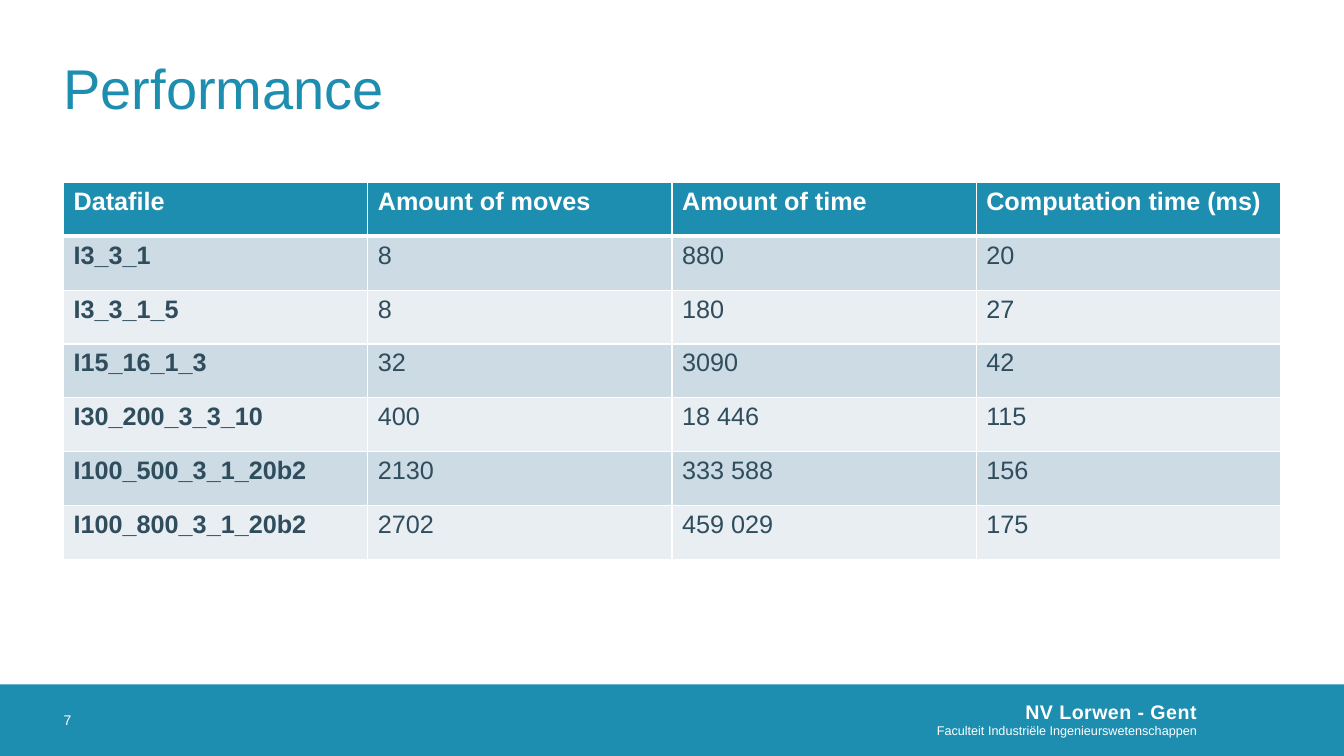
from dataclasses import dataclass

from lxml import etree
from pptx import Presentation
from pptx import util as u
from pptx.dml.color import RGBColor
from pptx.enum import shapes, text
from pptx.oxml.ns import qn

SLIDE_W, SLIDE_H = u.Inches(13.33), u.Inches(7.5)
FONT = "Arial"
COLORS = {
    "teal": "1D8DB0",
    "white": "FFFFFF",
    "ink": "2F4D5D",
    "band_dark": "CDDBE4",
    "band_light": "E8EEF2",
}
RESULTS = [
    ("Datafile", "Amount of moves", "Amount of time", "Computation time (ms)"),
    ("I3_3_1", "8", "880", "20"),
    ("I3_3_1_5", "8", "180", "27"),
    ("I15_16_1_3", "32", "3090", "42"),
    ("I30_200_3_3_10", "400", "18 446", "115"),
    ("I100_500_3_1_20b2", "2130", "333 588", "156"),
    ("I100_800_3_1_20b2", "2702", "459 029", "175"),
]


@dataclass(frozen=True)
class Area:
    """A rectangle in percent of the slide's width and height."""
    left: float
    top: float
    width: float
    height: float

    def emu(self) -> tuple[int, int, int, int]:
        return (round(SLIDE_W * self.left / 100), round(SLIDE_H * self.top / 100),
                round(SLIDE_W * self.width / 100), round(SLIDE_H * self.height / 100))


@dataclass(frozen=True)
class Line:
    words: str
    size: float
    color: str = "white"
    bold: bool = False
    align: text.PP_ALIGN = text.PP_ALIGN.LEFT
    spacing: float = 0


MARGIN, CONTENT_W = 4.73, 90.55
BAR_TOP, BAR_H = 90.53, 9.47
TITLE = Area(MARGIN, 3.07, CONTENT_W, 16.8)
TABLE = Area(MARGIN, 24.13, CONTENT_W, 49.87)
BAR = Area(0, BAR_TOP, 100, BAR_H)
PAGE_NUMBER = Area(MARGIN, BAR_TOP, 5.33, BAR_H)
FACULTY = Area(42.84, 90.27, 47.71, 9.73)


def rgb(color: str) -> RGBColor:
    return RGBColor.from_string(COLORS[color])


def write(frame, lines: list[Line], right_inset: float = 0) -> None:
    frame.word_wrap = True
    frame.auto_size = text.MSO_AUTO_SIZE.NONE
    frame.vertical_anchor = text.MSO_ANCHOR.MIDDLE
    frame.margin_left = frame.margin_top = frame.margin_bottom = 0
    frame.margin_right = u.Inches(right_inset)
    for index, line in enumerate(lines):
        paragraph = frame.add_paragraph() if index else frame.paragraphs[0]
        paragraph.alignment = line.align
        run = paragraph.add_run()
        run.text = line.words
        style(paragraph.font, line.size, line.color, line.bold)
        if line.spacing:
            run._r.get_or_add_rPr().set("spc", str(round(line.spacing * 100)))


def style(font, size: float, color: str, bold: bool) -> None:
    font.name, font.size, font.bold = FONT, u.Pt(size), bold
    font.color.rgb = rgb(color)


def add_text(slide, area: Area, lines: list[Line], right_inset: float = 0) -> None:
    write(slide.shapes.add_textbox(*area.emu()).text_frame, lines, right_inset)


def add_bar(slide) -> None:
    bar = slide.shapes.add_shape(shapes.MSO_SHAPE.RECTANGLE, *BAR.emu())
    bar.shadow.inherit = False
    bar.fill.solid()
    bar.fill.fore_color.rgb = rgb("teal")
    bar.line.fill.background()


def set_borders(cell, top: float, bottom: float) -> None:
    """Draw white cell borders; the side borders are one point wide."""
    properties = cell._tc.get_or_add_tcPr()
    for side, points in {"L": 1, "R": 1, "T": top, "B": bottom}.items():
        border = etree.SubElement(properties, qn(f"a:ln{side}"), w=str(u.Pt(points)))
        fill = etree.SubElement(border, qn("a:solidFill"))
        etree.SubElement(fill, qn("a:srgbClr"), val=COLORS["white"])


def add_results(slide) -> None:
    left, top, width, height = TABLE.emu()
    row_count, column_count = len(RESULTS), len(RESULTS[0])
    table = slide.shapes.add_table(
        row_count, column_count, left, top, width, height).table
    for column in table.columns:
        column.width = round(width / column_count)
    for row_index, values in enumerate(RESULTS):
        table.rows[row_index].height = round(height / row_count)
        header = row_index == 0
        band = "teal" if header else "band_dark" if row_index % 2 else "band_light"
        for column_index, value in enumerate(values):
            cell = table.cell(row_index, column_index)
            set_borders(cell, 3 if row_index == 1 else 1, 3 if header else 1)
            cell.fill.solid()
            cell.fill.fore_color.rgb = rgb(band)
            cell.text = value
            style(cell.text_frame.paragraphs[0].font, 18,
                  "white" if header else "ink", header or column_index == 0)


def main() -> None:
    deck = Presentation()
    deck.slide_width, deck.slide_height = SLIDE_W, SLIDE_H
    slide = deck.slides.add_slide(deck.slide_layouts[5])

    title = slide.shapes.title
    title.left, title.top, title.width, title.height = TITLE.emu()
    write(title.text_frame, [Line("Performance", 40, "teal")])

    add_bar(slide)
    right = text.PP_ALIGN.RIGHT
    add_text(slide, FACULTY, [
        Line("NV Lorwen - Gent", 14, bold=True, align=right, spacing=0.3),
        Line("Faculteit Industriële Ingenieurswetenschappen", 9, align=right),
    ], right_inset=0.2)
    add_results(slide)
    add_text(slide, PAGE_NUMBER, [Line("7", 10)])

    deck.save("out.pptx")


if __name__ == "__main__":
    main()
